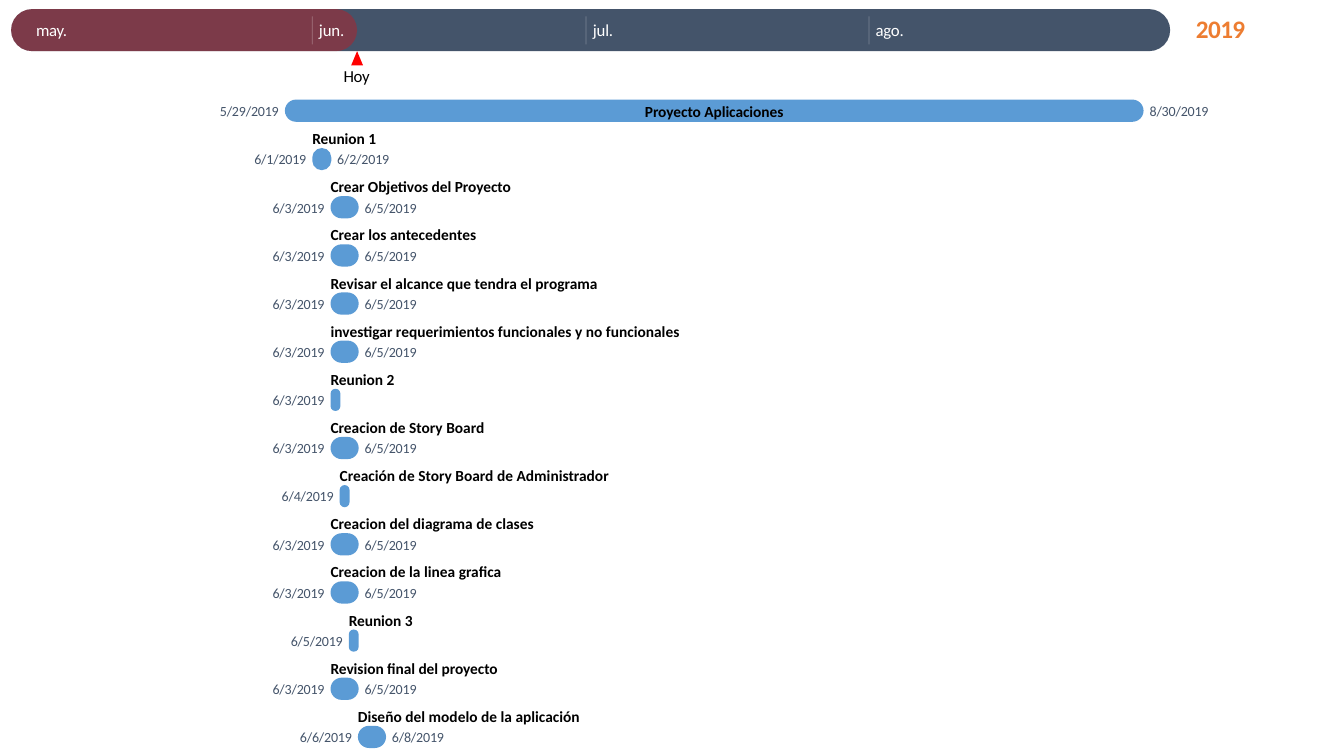
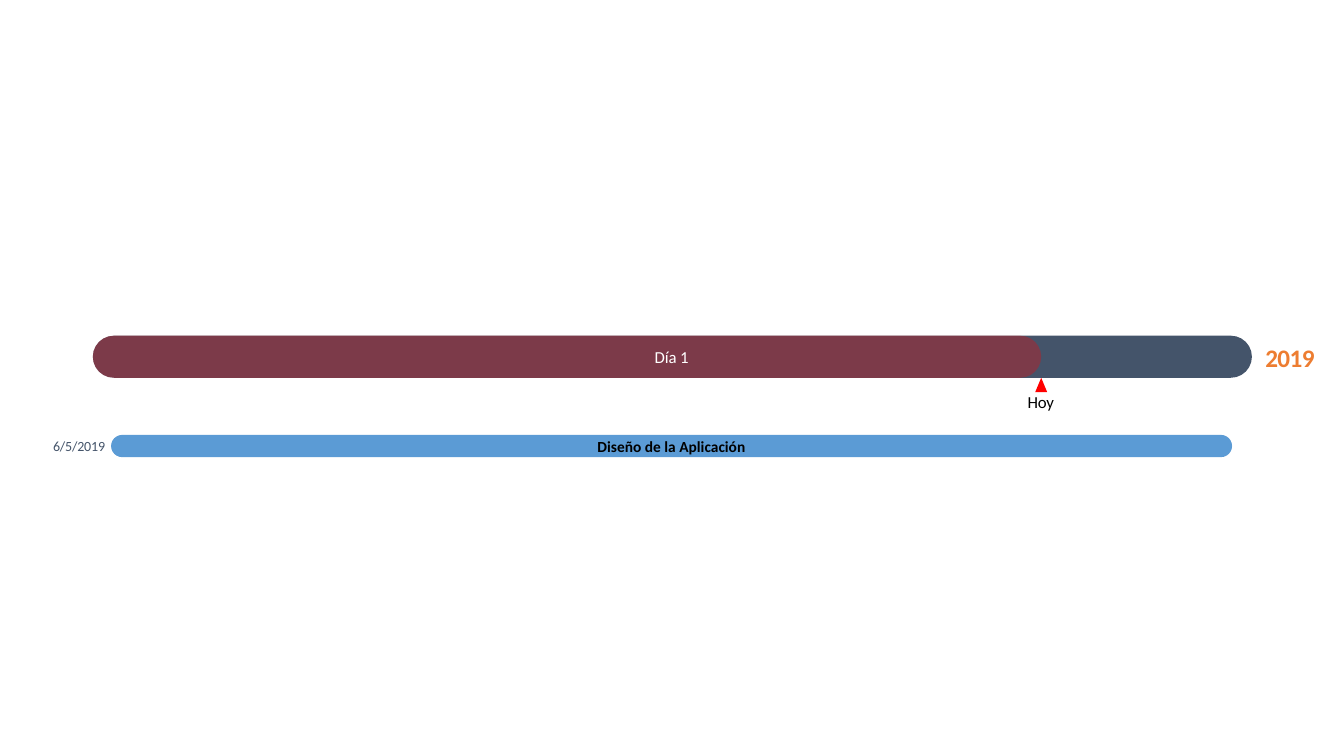
from dataclasses import dataclass
from typing import Optional

from lxml.etree import SubElement
from pptx import Presentation
from pptx.dml.color import RGBColor
from pptx.enum.shapes import MSO_CONNECTOR, MSO_SHAPE
from pptx.enum.text import MSO_ANCHOR, PP_ALIGN
from pptx.oxml.ns import qn
from pptx.shapes.autoshape import Shape
from pptx.slide import Slide
from pptx.util import Cm, Pt

FONT = "Calibri"
SLATE, BLUE, RED = "44546A", "5B9BD5", "FF0000"
ORANGE, WHITE, BLACK = "ED7D31", "FFFFFF", "000000"
VEIL = 30

BAND_WIDTH, BAND_HEIGHT = 29.21, 1.06
BAR_HEIGHT = 0.56
DATE_GAP = 0.12
TITLE_WIDTH = 9.5
FIRST_TASK_TOP, LAST_TASK_TOP = 3.73, 18.29
JUNE_LEFT, DAY_WIDTH = 7.87, 0.23
MONTH_START = {5: -31, 6: 0, 7: 30, 8: 61}


@dataclass(frozen=True)
class TextStyle:
    size: float
    color: str
    bold: bool = False
    spacing: float = 0
    align: PP_ALIGN = PP_ALIGN.CENTER


@dataclass(frozen=True)
class Band:
    left: float
    top: float
    elapsed: float
    year_left: float
    year_top: float


@dataclass(frozen=True)
class Label:
    text: str
    left: float
    width: float
    spacing: float
    divided: bool = False


@dataclass(frozen=True)
class Date:
    month: int
    day: int

    @property
    def text(self) -> str:
        return f"{self.month}/{self.day}/2019"

    @property
    def left(self) -> float:
        return JUNE_LEFT + (MONTH_START[self.month] + self.day - 1) * DAY_WIDTH


@dataclass(frozen=True)
class Task:
    title: str
    start: Date
    end: Optional[Date] = None
    spacing: float = 0


@dataclass(frozen=True)
class BarSpan:
    left: float
    width: float


YEAR = TextStyle(18, ORANGE, True, -0.4)
TODAY = TextStyle(12, BLACK, False, -0.2)
DATE = TextStyle(10, SLATE, False, -0.1)
TIGHT = -0.06

MONTHS = [
    Label("may.", 0.91, 0.9, -0.2),
    Label("jun.", Date(6, 1).left + 0.17, 0.8, -0.1, True),
    Label("jul.", Date(7, 1).left + 0.17, 0.8, -0.1, True),
    Label("ago.", Date(8, 1).left + 0.17, 0.9, -0.2, True),
]
DAYS = [Label("Día 1", 16.5, 1.1, -0.1)]

JUNE_3, JUNE_4, JUNE_5 = Date(6, 3), Date(6, 4), Date(6, 5)
PROJECT = Task("Proyecto Aplicaciones", Date(5, 29), Date(8, 30), TIGHT)
TASKS = [
    Task("Reunion 1", Date(6, 1), Date(6, 2), TIGHT),
    Task("Crear Objetivos del Proyecto", JUNE_3, JUNE_5, TIGHT),
    Task("Crear los antecedentes", JUNE_3, JUNE_5),
    Task("Revisar el alcance que tendra el programa", JUNE_3, JUNE_5),
    Task("investigar requerimientos funcionales y no funcionales", JUNE_3, JUNE_5),
    Task("Reunion 2", JUNE_3, spacing=TIGHT),
    Task("Creacion de Story Board", JUNE_3, JUNE_5),
    Task("Creación de Story Board de Administrador", JUNE_4),
    Task("Creacion del diagrama de clases", JUNE_3, JUNE_5),
    Task("Creacion de la linea grafica", JUNE_3, JUNE_5),
    Task("Reunion 3", JUNE_5, spacing=TIGHT),
    Task("Revision final del proyecto", JUNE_3, JUNE_5, TIGHT),
    Task("Diseño del modelo de la aplicación", Date(6, 6), Date(6, 8)),
]
DESIGN = Task("Diseño de la Aplicación", JUNE_5)


def rgb(color: str) -> RGBColor:
    return RGBColor.from_string(color)


def set_opacity(shape_properties, percent: int) -> None:
    for color in shape_properties.iter(qn("a:srgbClr")):
        SubElement(color, qn("a:alpha")).set("val", str(percent * 1000))


def add_text(slide: Slide, text: str, left: float, top: float, width: float,
             height: float, style: TextStyle) -> None:
    frame = slide.shapes.add_textbox(Cm(left), Cm(top), Cm(width), Cm(height)).text_frame
    frame.margin_left = frame.margin_right = frame.margin_top = frame.margin_bottom = 0
    frame.vertical_anchor = MSO_ANCHOR.MIDDLE
    frame.word_wrap = True
    paragraph = frame.paragraphs[0]
    paragraph.alignment = style.align
    run = paragraph.add_run()
    run.text = text
    run.font.name = FONT
    run.font.size = Pt(style.size)
    run.font.bold = style.bold
    run.font.color.rgb = rgb(style.color)
    if style.spacing:
        run.font._element.set("spc", str(round(style.spacing * 100)))


def add_filled(slide: Slide, kind: MSO_SHAPE, left: float, top: float,
               width: float, height: float, color: str) -> Shape:
    shape = slide.shapes.add_shape(kind, Cm(left), Cm(top), Cm(width), Cm(height))
    shape.shadow.inherit = False
    shape.fill.solid()
    shape.fill.fore_color.rgb = rgb(color)
    shape.line.fill.background()
    return shape


def add_pill(slide: Slide, left: float, top: float, width: float, height: float,
             color: str) -> Shape:
    shape = add_filled(slide, MSO_SHAPE.ROUNDED_RECTANGLE, left, top, width, height, color)
    shape.adjustments[0] = 0.5
    return shape


def add_divider(slide: Slide, left: float, top: float, height: float) -> None:
    connector = slide.shapes.add_connector(
        MSO_CONNECTOR.STRAIGHT, Cm(left), Cm(top), Cm(left), Cm(top + height))
    connector.line.width = Pt(0.5)
    connector.line.color.rgb = rgb(WHITE)
    properties = connector._element.spPr
    set_opacity(properties, VEIL)
    SubElement(properties, qn("a:effectLst"))


def add_band(slide: Slide, band: Band, labels: list[Label]) -> None:
    add_text(slide, "2019", band.year_left, band.year_top, 1.5, 0.79, YEAR)
    add_pill(slide, band.left, band.top, BAND_WIDTH, BAND_HEIGHT, SLATE)
    elapsed = add_pill(slide, band.left, band.top, band.elapsed, BAND_HEIGHT, RED)
    set_opacity(elapsed._element.spPr, VEIL)
    today = band.left + band.elapsed
    bottom = band.top + BAND_HEIGHT
    add_filled(slide, MSO_SHAPE.ISOSCELES_TRIANGLE, today - 0.15, bottom, 0.3, 0.36, RED)
    add_text(slide, "Hoy", today - 0.41, bottom + 0.36, 0.8, 0.51, TODAY)
    for label in labels:
        if label.divided:
            add_divider(slide, label.left - 0.17, band.top + 0.18, 0.71)
        style = TextStyle(12, WHITE, False, label.spacing, PP_ALIGN.LEFT)
        add_text(slide, label.text, label.left, band.top + 0.27, label.width, 0.51, style)


def span_of(task: Task) -> BarSpan:
    last = task.end or task.start
    return BarSpan(task.start.left, last.left - task.start.left + DAY_WIDTH + 0.02)


def add_date(slide: Slide, date: Date, edge: float, top: float, before: bool) -> None:
    width = 1.55 if len(date.text) > 8 else 1.37
    left = edge - DATE_GAP - width if before else edge + DATE_GAP
    add_text(slide, date.text, left, top + 0.07, width, 0.43, DATE)


def add_task(slide: Slide, task: Task, span: BarSpan, top: float,
             title_inside: bool = False) -> None:
    add_pill(slide, span.left, top, span.width, BAR_HEIGHT, BLUE)
    add_date(slide, task.start, span.left, top, True)
    if task.end:
        add_date(slide, task.end, span.left + span.width, top, False)
    if title_inside:
        left, title_top = span.left + (span.width - TITLE_WIDTH) / 2, top + 0.05
        align = PP_ALIGN.CENTER
    else:
        left, title_top, align = span.left, top - 0.48, PP_ALIGN.LEFT
    style = TextStyle(11, BLACK, True, task.spacing, align)
    add_text(slide, task.title, left, title_top, TITLE_WIDTH, 0.48, style)


def build_project_slide(slide: Slide) -> None:
    add_band(slide, Band(0.28, 0.23, 8.72, 30.01, 0.33), MONTHS)
    add_task(slide, PROJECT, span_of(PROJECT), 2.51, True)
    pitch = (LAST_TASK_TOP - FIRST_TASK_TOP) / (len(TASKS) - 1)
    for row, task in enumerate(TASKS):
        add_task(slide, task, span_of(task), FIRST_TASK_TOP + row * pitch)


def build_design_slide(slide: Slide) -> None:
    add_band(slide, Band(2.34, 8.46, 23.9, 31.76, 8.61), DAYS)
    add_task(slide, DESIGN, BarSpan(2.8, 28.25), 10.96, True)


presentation = Presentation()
presentation.slide_width = Cm(33.87)
presentation.slide_height = Cm(19.05)
for build in (build_project_slide, build_design_slide):
    build(presentation.slides.add_slide(presentation.slide_layouts[6]))
presentation.save("out.pptx")
